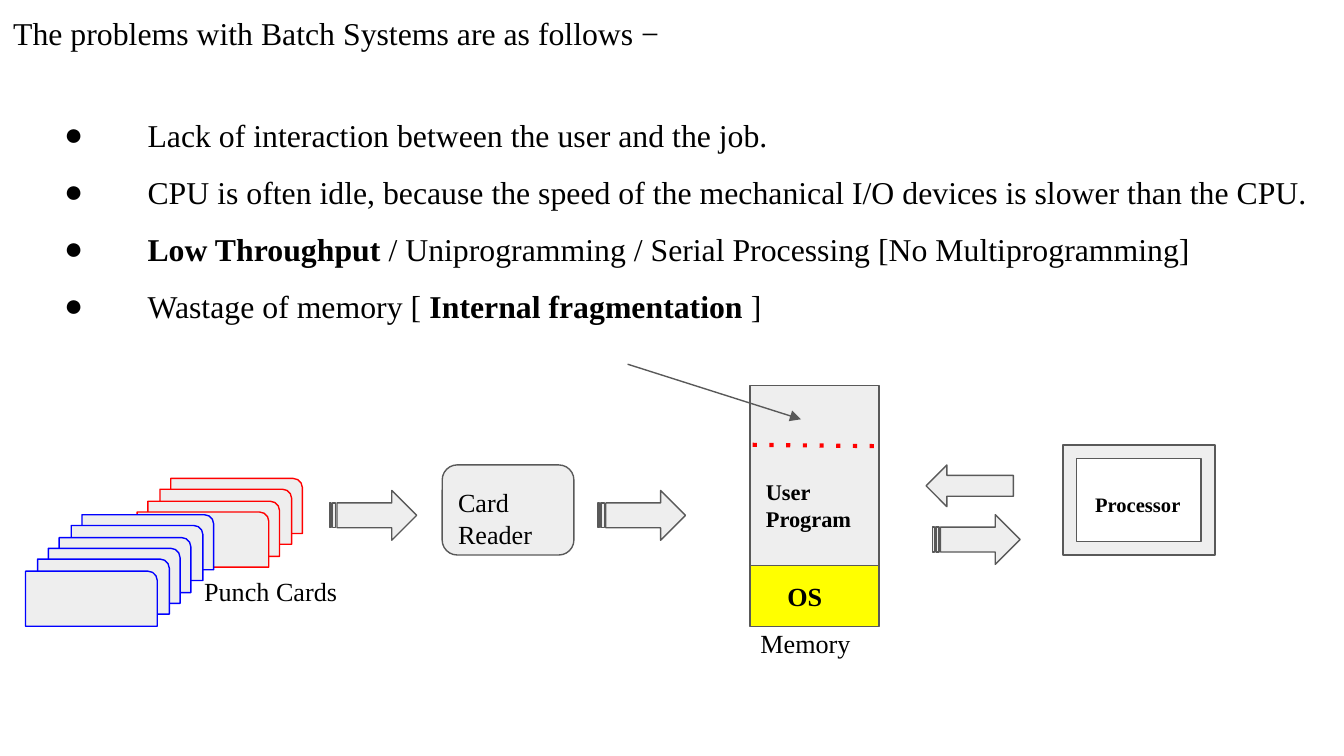
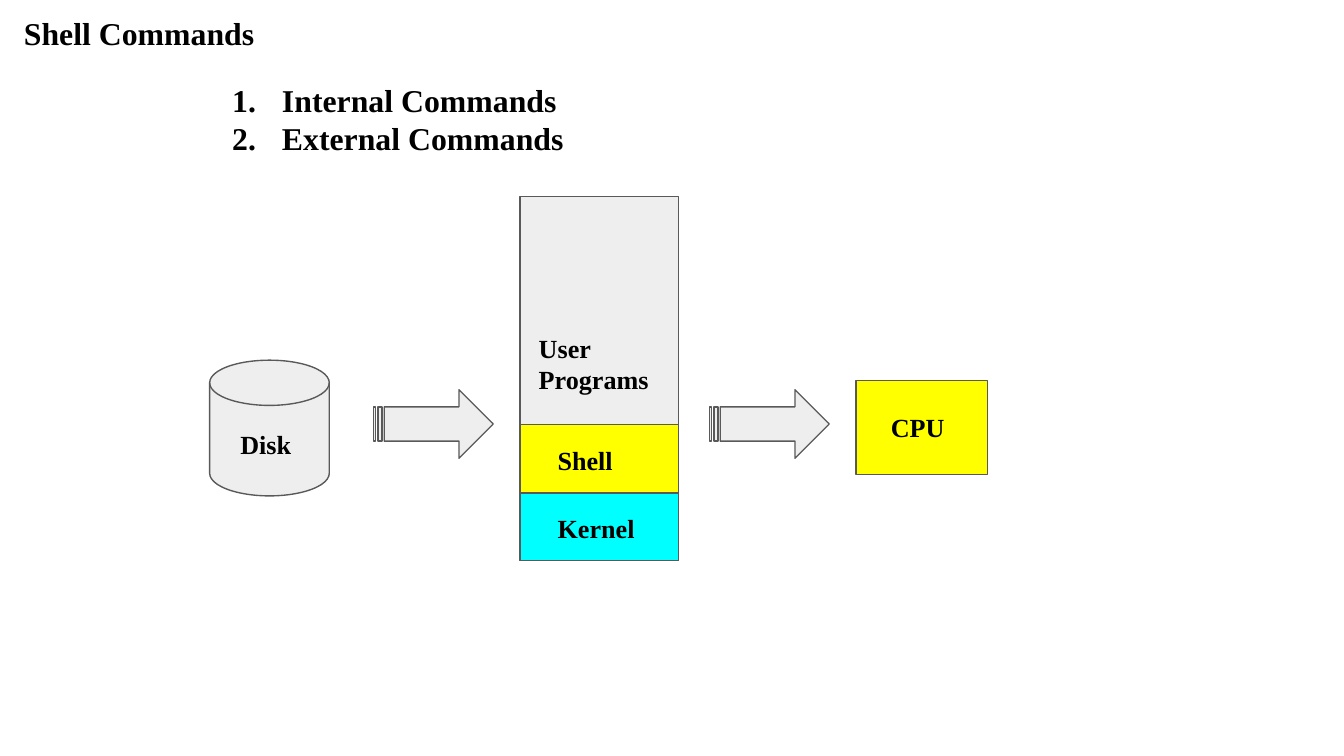
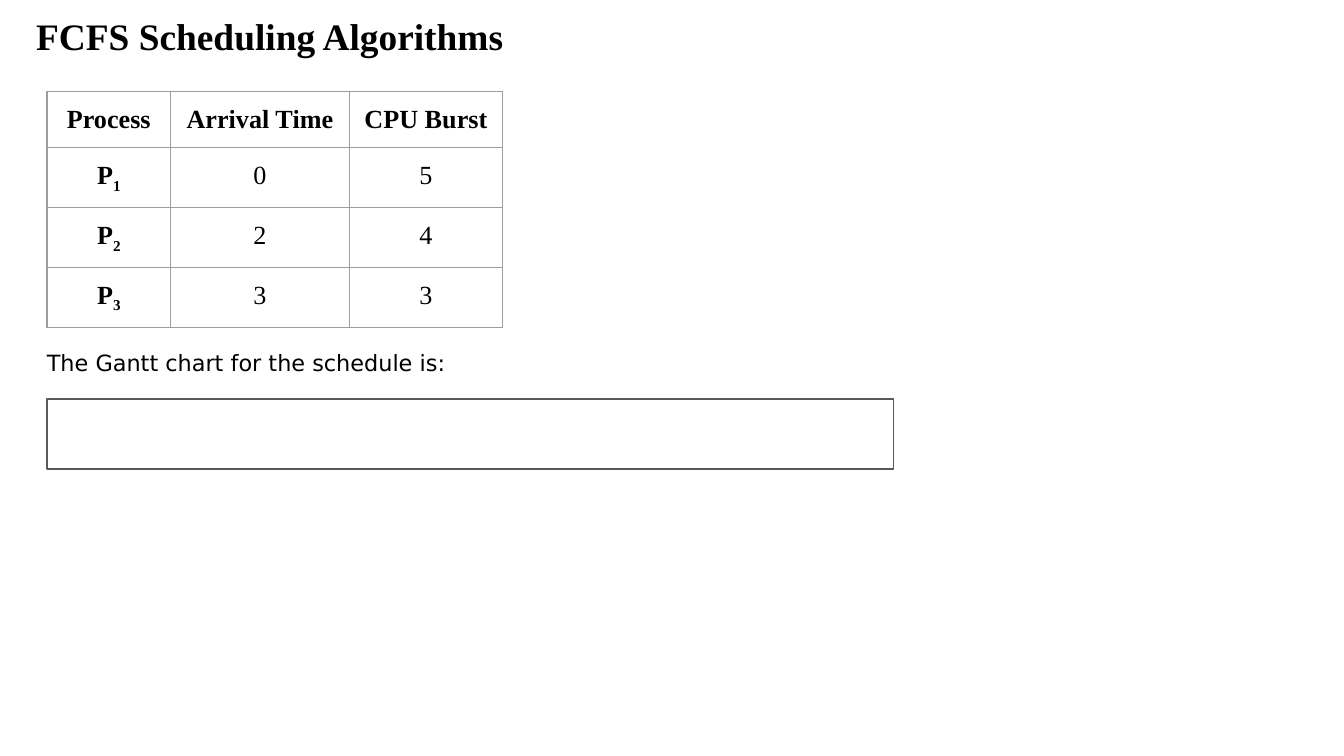
from dataclasses import dataclass

from lxml import etree
from pptx import Presentation
from pptx import util as u
from pptx.dml.color import RGBColor
from pptx.enum import shapes, text
from pptx.oxml.ns import qn

EMU_PER_PX = 9144  # 100 px to the inch
SLIDE_WIDTH = 1000
SHAPE = shapes.MSO_SHAPE


@dataclass(frozen=True)
class Theme:
    ink: str = "000000"
    paper: str = "FFFFFF"
    panel: str = "EEEEEE"
    edge: str = "595959"
    grid: str = "9E9E9E"
    yellow: str = "FFFF00"
    cyan: str = "00FFFF"
    red: str = "FF0000"
    blue: str = "0000FF"
    serif: str = "Times New Roman"
    sans: str = "DejaVu Sans"
    title: int = 20
    body: int = 17
    label: int = 14
    small: int = 12
    tiny: int = 11
    hairline: float = 0.75
    dotted: float = 2.25


THEME = Theme()


@dataclass(frozen=True)
class Block:
    kind: SHAPE
    left: int
    top: int
    width: int
    height: int
    fill: str = THEME.panel
    edge: str = THEME.edge


@dataclass(frozen=True)
class Piece:
    words: str
    bold: bool = False
    subscript: bool = False


@dataclass(frozen=True)
class Label:
    left: int
    top: int
    width: int
    height: int
    words: str
    size: int = THEME.label
    bold: bool = True
    font: str = THEME.serif


@dataclass(frozen=True)
class Line:
    start: tuple[int, int]
    end: tuple[int, int]
    colour: str
    weight: float
    ending: tuple[str, dict[str, str]]


def px(length: int) -> u.Emu:
    return u.Emu(length * EMU_PER_PX)


def apply(target, values: dict) -> None:
    for key, value in values.items():
        setattr(target, key, value)


def margins(prefix: str) -> dict:
    return {f"{prefix}{side}": px(10) for side in ("left", "right", "top", "bottom")}


def draw_block(slide, block: Block) -> None:
    shape = slide.shapes.add_shape(
        block.kind, *map(px, (block.left, block.top, block.width, block.height)))
    shape.shadow.inherit = False
    shape.fill.solid()
    shape.fill.fore_color.rgb = RGBColor.from_string(block.fill)
    shape.line.color.rgb = RGBColor.from_string(block.edge)
    shape.line.width = u.Pt(THEME.hairline)


def draw_line(slide, line: Line) -> None:
    connector = slide.shapes.add_connector(
        shapes.MSO_CONNECTOR.STRAIGHT, *map(px, line.start + line.end))
    connector.line.color.rgb = RGBColor.from_string(line.colour)
    connector.line.width = u.Pt(line.weight)
    properties = connector.element.spPr
    tag, attributes = line.ending
    etree.SubElement(properties.get_or_add_ln(), qn(tag), attributes)
    etree.SubElement(properties, qn("a:effectLst"))


def write(paragraph, pieces: list[Piece], size: int, font: str = THEME.serif) -> None:
    for piece in pieces:
        run = paragraph.add_run()
        run.text = piece.words
        apply(run.font, {"name": font, "size": u.Pt(size), "bold": piece.bold})
        run.font.color.rgb = RGBColor.from_string(THEME.ink)
        if piece.subscript:
            run._r.get_or_add_rPr().set("baseline", "-25000")


def add_frame(slide, left: int, top: int, width: int, height: int):
    frame = slide.shapes.add_textbox(*map(px, (left, top, width, height))).text_frame
    apply(frame, {"word_wrap": True, "vertical_anchor": text.MSO_ANCHOR.TOP,
                  **margins("margin_")})
    return frame


def draw_label(slide, label: Label) -> None:
    frame = add_frame(slide, label.left, label.top, label.width, label.height)
    write(frame.paragraphs[0], [Piece(label.words, label.bold)], label.size, label.font)


def set_bullet(paragraph, margin: int, hanging: int, tag: str, mark: dict[str, str]) -> None:
    properties = paragraph._p.get_or_add_pPr()
    properties.set("marL", str(px(margin)))
    properties.set("indent", str(px(-hanging)))
    colour = etree.SubElement(properties, qn("a:buClr"))
    etree.SubElement(colour, qn("a:srgbClr"), val=THEME.ink)
    etree.SubElement(properties, qn("a:buFont"), typeface=THEME.serif)
    etree.SubElement(properties, qn(tag), mark)


def set_borders(cell) -> None:
    properties = cell._tc.get_or_add_tcPr()
    for order, side in enumerate(("lnL", "lnR", "lnT", "lnB")):
        border = etree.Element(qn(f"a:{side}"), w=str(u.Pt(THEME.hairline)))
        fill = etree.SubElement(border, qn("a:solidFill"))
        etree.SubElement(fill, qn("a:srgbClr"), val=THEME.grid)
        properties.insert(order, border)


def draw_table(slide, left: int, top: int, widths: list[int], row_height: int,
               rows: list[list[list[Piece]]]) -> None:
    table = slide.shapes.add_table(
        len(rows), len(widths),
        *map(px, (left, top, sum(widths), row_height * len(rows)))).table
    apply(table, {"first_row": False, "horz_banding": False})
    for column, width in zip(table.columns, widths):
        column.width = px(width)
    for row, contents in zip(table.rows, rows):
        row.height = px(row_height)
        for cell, pieces in zip(row.cells, contents):
            apply(cell, margins("margin_"))
            cell.fill.background()
            set_borders(cell)
            paragraph = cell.text_frame.paragraphs[0]
            paragraph.alignment = text.PP_ALIGN.CENTER
            write(paragraph, pieces, THEME.label)


def card_stack(left: int, top: int, count: int, edge: str) -> list[Block]:
    """Cards that each step down and to the left of the one before."""
    steps = [round(25 * card / 3) for card in range(count)]
    return [Block(SHAPE.ROUND_1_RECTANGLE, left - step, top + step, 98, 41, edge=edge)
            for step in steps]


def draw_all(slide, blocks: list[Block], labels: list[Label]) -> None:
    for block in blocks:
        draw_block(slide, block)
    for label in labels:
        draw_label(slide, label)


def batch_problems(slide) -> None:
    problems = [
        [Piece("Lack of interaction between the user and the job.")],
        [Piece("CPU is often idle, because the speed of the mechanical I/O devices "
               "is slower than the CPU.")],
        [Piece("Low Throughput", True),
         Piece(" / Uniprogramming / Serial Processing [No Multiprogramming]")],
        [Piece("Wastage of memory [ "), Piece("Internal fragmentation", True), Piece(" ]")],
    ]
    frame = add_frame(slide, 0, 0, 986, 344)
    intro = frame.paragraphs[0]
    apply(intro, {"alignment": text.PP_ALIGN.JUSTIFY, "space_before": u.Pt(24)})
    write(intro, [Piece("The problems with Batch Systems are as follows −")], THEME.body)
    for order, problem in enumerate(problems):
        paragraph = frame.add_paragraph()
        apply(paragraph, {"alignment": text.PP_ALIGN.JUSTIFY, "line_spacing": 1.5,
                          "space_before": u.Pt(0 if order else 24)})
        set_bullet(paragraph, 100, 62, "a:buChar", {"char": "●"})
        write(paragraph, problem, THEME.body)

    blocks = [
        Block(SHAPE.RECTANGLE, 558, 287, 96, 178),
        Block(SHAPE.RECTANGLE, 558, 421, 96, 45, THEME.yellow),
        *card_stack(127, 356, 4, THEME.red),
        *(Block(SHAPE.STRIPED_RIGHT_ARROW, left, top, 65, 37)
          for left, top in ((245, 365), (445, 365), (694, 383))),
        Block(SHAPE.LEFT_ARROW, 689, 346, 65, 31),
        Block(SHAPE.ROUNDED_RECTANGLE, 329, 346, 98, 67),
        Block(SHAPE.FRAME, 791, 331, 113, 82),
        *card_stack(61, 383, 6, THEME.blue),
    ]
    labels = [
        Label(331, 352, 96, 45, "Card Reader", bold=False),
        Label(142, 418, 138, 20, "Punch Cards", bold=False),
        Label(556, 461, 96, 16, "Memory", bold=False),
        Label(805, 357, 84, 31, "Processor", THEME.tiny),
        Label(576, 422, 78, 31, "OS"),
        Label(560, 346, 98, 20, "User Program", THEME.small),
    ]
    draw_all(slide, blocks, labels)
    draw_line(slide, Line((560, 331), (653, 332), THEME.red, THEME.dotted,
                          ("a:prstDash", {"val": "dot"})))
    draw_line(slide, Line((467, 271), (596, 312), THEME.edge, THEME.hairline,
                          ("a:tailEnd", {"type": "triangle"})))


def shell_commands(slide) -> None:
    draw_label(slide, Label(8, 0, 317, 26, "Shell Commands", THEME.body))
    frame = add_frame(slide, 150, 50, 317, 26)
    for order, command in enumerate(("Internal Commands", "External Commands")):
        paragraph = frame.add_paragraph() if order else frame.paragraphs[0]
        set_bullet(paragraph, 50, 37, "a:buAutoNum", {"type": "arabicPeriod"})
        write(paragraph, [Piece(command, True)], THEME.body)

    blocks = [
        Block(SHAPE.RECTANGLE, 387, 146, 118, 271),
        Block(SHAPE.RECTANGLE, 387, 366, 118, 51, THEME.cyan),
        Block(SHAPE.RECTANGLE, 387, 316, 118, 51, THEME.yellow),
        *(Block(SHAPE.STRIPED_RIGHT_ARROW, left, 290, 89, 51) for left in (528, 278)),
        Block(SHAPE.RECTANGLE, 637, 283, 98, 70, THEME.yellow),
        Block(SHAPE.FLOWCHART_MAGNETIC_DISK, 156, 268, 89, 101),
    ]
    labels = [
        Label(405, 371, 89, 32, "Kernel"),
        Label(405, 321, 89, 32, "Shell"),
        Label(391, 237, 109, 32, "User Programs"),
        Label(653, 296, 76, 32, "CPU"),
        Label(169, 309, 76, 26, "Disk"),
    ]
    draw_all(slide, blocks, labels)


def fcfs_scheduling(slide) -> None:
    jobs = [("1", "0", "5"), ("2", "2", "4"), ("3", "3", "3")]
    header = [[Piece(name, True)] for name in ("Process", "Arrival Time", "CPU Burst")]
    rows = [[[Piece("P", True), Piece(number, True, True)], [Piece(arrival)], [Piece(burst)]]
            for number, arrival, burst in jobs]
    draw_table(slide, 35, 68, [92, 133, 114], 42, [header, *rows])
    draw_all(slide, [Block(SHAPE.RECTANGLE, 35, 297, 630, 52, THEME.paper)], [
        Label(17, 0, 630, 52, "FCFS Scheduling Algorithms", THEME.title),
        Label(25, 250, 328, 52, "The Gantt chart for the schedule is:", THEME.small,
              False, THEME.sans),
    ])


def main() -> None:
    deck = Presentation()
    width = px(SLIDE_WIDTH)
    apply(deck, {"slide_width": width, "slide_height": u.Emu(width * 9 // 16)})
    for build in (batch_problems, shell_commands, fcfs_scheduling):
        build(deck.slides.add_slide(deck.slide_layouts[6]))
    deck.save("out.pptx")


if __name__ == "__main__":
    main()
